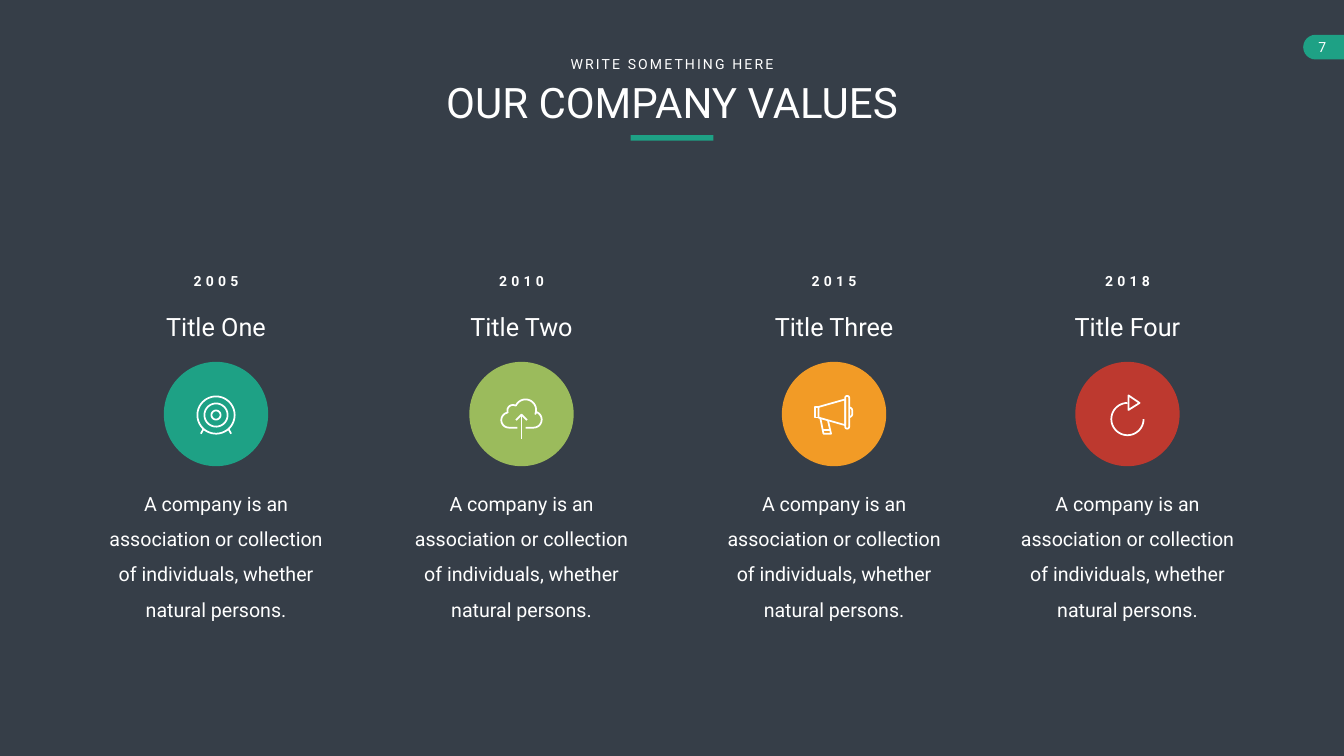
from math import cos, radians, sin

from pptx import Presentation
from pptx import util as u
from pptx.dml.color import RGBColor
from pptx.enum import shapes, text

COLORS = {"back": "363E48", "white": "FFFFFF", "teal": "1EA185",
          "green": "9BBB5C", "orange": "F29B26", "red": "BD392F"}
BODY = "A company is an association or collection of individuals, whether natural persons."
COLUMN_WIDTH = 4.63


def rgb(name):
    """Return the named colour."""
    return RGBColor.from_string(COLORS[name])


def inches(*values):
    """Turn plain numbers into lengths."""
    return [u.Inches(v) for v in values]


def arc(cx, cy, radius, start, end):
    """Return points along an arc, clockwise in degrees from the right."""
    steps = max(6, abs(end - start) // 8)
    angles = [radians(start + (end - start) * i / steps) for i in range(steps + 1)]
    return [(cx + radius * cos(a), cy + radius * sin(a)) for a in angles]


def target_icon():
    """Return the strokes of a target on two legs."""
    rings = [(arc(0, 0.02, r, 0, 360), True) for r in (0.37, 0.23, 0.09)]
    legs = [([(side * 0.25, 0.3), (side * 0.3, 0.39)], False) for side in (-1, 1)]
    return rings + legs


def cloud_icon():
    """Return the strokes of a cloud with an upward arrow."""
    outline = ([(-0.08, 0.27)] + arc(-0.25, 0.12, 0.15, 90, 255)
               + arc(-0.17, -0.07, 0.11, 160, 295) + arc(0.08, -0.08, 0.21, 205, 382)
               + arc(0.24, 0.11, 0.16, 290, 450) + [(0.08, 0.27)])
    head = [(-0.11, 0.12), (0, 0.01), (0.11, 0.12)]
    return [(outline, False), (head, False), ([(0, 0.01), (0, 0.5)], False)]


def megaphone_icon():
    """Return the strokes of a megaphone."""
    horn = [(-0.31, -0.14), (0.22, -0.29), (0.22, 0.22), (-0.31, 0.07)]
    mouthpiece = [(-0.38, -0.14), (-0.31, -0.14), (-0.31, 0.07), (-0.38, 0.07)]
    rim = arc(0.26, -0.32, 0.04, 180, 360) + arc(0.26, 0.25, 0.04, 0, 180)
    cap = arc(0.3, -0.07, 0.06, 270, 360) + arc(0.3, 0, 0.06, 0, 90)
    handle = [(-0.27, 0.09), (-0.21, 0.39), (-0.06, 0.39), (-0.12, 0.13)]
    grip = [(-0.22, 0.32), (-0.08, 0.32)]
    return [(horn, True), (mouthpiece, True), (rim, True),
            (cap, False), (handle, False), (grip, False)]


def refresh_icon():
    """Return the strokes of a circular arrow."""
    return [(arc(0, 0.1, 0.32, 0, 270), False),
            ([(0.02, -0.37), (0.24, -0.22), (0.02, -0.08)], True)]


def add_icon(s, cx, cy, strokes):
    """Draw all strokes of an icon as one outline about a centre."""
    contours = [([inches(cx + x, cy + y) for x, y in points], closed)
                for points, closed in strokes]
    first = contours[0][0][0]
    builder = s.shapes.build_freeform(*first, scale=1.0)
    for i, (points, closed) in enumerate(contours):
        if i:
            builder.move_to(*points[0])
        builder.add_line_segments(points[1:], close=closed)
    icon = builder.convert_to_shape()
    icon.shadow.inherit = False
    icon.fill.background()
    icon.line.color.rgb = rgb("white")
    icon.line.width = u.Pt(2.5)


def add_block(s, kind, box, color):
    """Add a plain filled shape."""
    sp = s.shapes.add_shape(kind, *inches(*box))
    sp.shadow.inherit = False
    sp.fill.solid()
    sp.fill.fore_color.rgb = rgb(color)
    sp.line.fill.background()
    return sp


def add_label(s, box, words, size, wrap=True, bold=False, tracking=0, spacing=1.0):
    """Add centred white text."""
    tf = s.shapes.add_textbox(*inches(*box)).text_frame
    tf.word_wrap = wrap
    p = tf.paragraphs[0]
    p.alignment = text.PP_ALIGN.CENTER
    p.line_spacing = spacing
    r = p.add_run()
    r.text = words
    formats = {"name": "Roboto", "size": u.Pt(size), "bold": bold}
    for name, value in formats.items():
        setattr(r.font, name, value)
    r.font.color.rgb = rgb("white")
    if tracking:
        r._r.get_or_add_rPr().set("spc", str(tracking * 100))


def add_page_tag(s, left, top, width, height, number):
    """Add the page number on a tab at the slide's edge."""
    cap = add_block(s, shapes.MSO_SHAPE.FLOWCHART_DELAY, (left, top, height, height), "teal")
    cap.rotation = 180
    add_block(s, shapes.MSO_SHAPE.RECTANGLE,
              (left + height, top, width - height, height), "teal")
    add_label(s, (left + 0.02, top + 0.03, 0.72, 0.44), number, 20, wrap=False)


def add_heading(s, left, top, width):
    """Add the overline, the title and its rule."""
    middle = left + width / 2
    add_label(s, (left, top, width, 0.44), "WRITE SOMETHING HERE", 20, tracking=3)
    add_label(s, (left, top + 0.42, width, 1.11), "OUR COMPANY VALUES", 60)
    add_block(s, shapes.MSO_SHAPE.RECTANGLE, (middle - 0.82, top + 1.63, 1.64, 0.11), "teal")


def add_value(s, left, top, width, year, title, color, strokes):
    """Add one column with year, title, icon and description."""
    middle, disc = left + width / 2, 2.07
    add_label(s, (left, top, width, 0.44), year, 20, bold=True, tracking=6)
    add_label(s, (left, top + 0.78, width, 0.71), title, 36)
    add_block(s, shapes.MSO_SHAPE.OVAL, (middle - disc / 2, top + 1.83, disc, disc), color)
    add_icon(s, middle, top + 1.83 + disc / 2, strokes)
    add_label(s, (left, top + 4.12, width, 2.85), BODY, 28, spacing=1.5)


def main():
    """Build the slide and save it."""
    prs = Presentation()
    prs.slide_width, prs.slide_height = inches(26.66, 15)
    s = prs.slides.add_slide(prs.slide_layouts[6])
    s.background.fill.solid()
    s.background.fill.fore_color.rgb = rgb("back")
    add_page_tag(s, 25.85, 0.69, 0.81, 0.49, "7")
    add_heading(s, 7.34, 1.05, 11.98)
    values = [
        (1.97, "2005", "Title One", "teal", target_icon()),
        (8.03, "2010", "Title Two", "green", cloud_icon()),
        (14.23, "2015", "Title Three", "orange", megaphone_icon()),
        (20.05, "2018", "Title Four", "red", refresh_icon()),
    ]
    for left, *parts in values:
        add_value(s, left, 5.35, COLUMN_WIDTH, *parts)
    prs.save("out.pptx")


if __name__ == "__main__":
    main()
